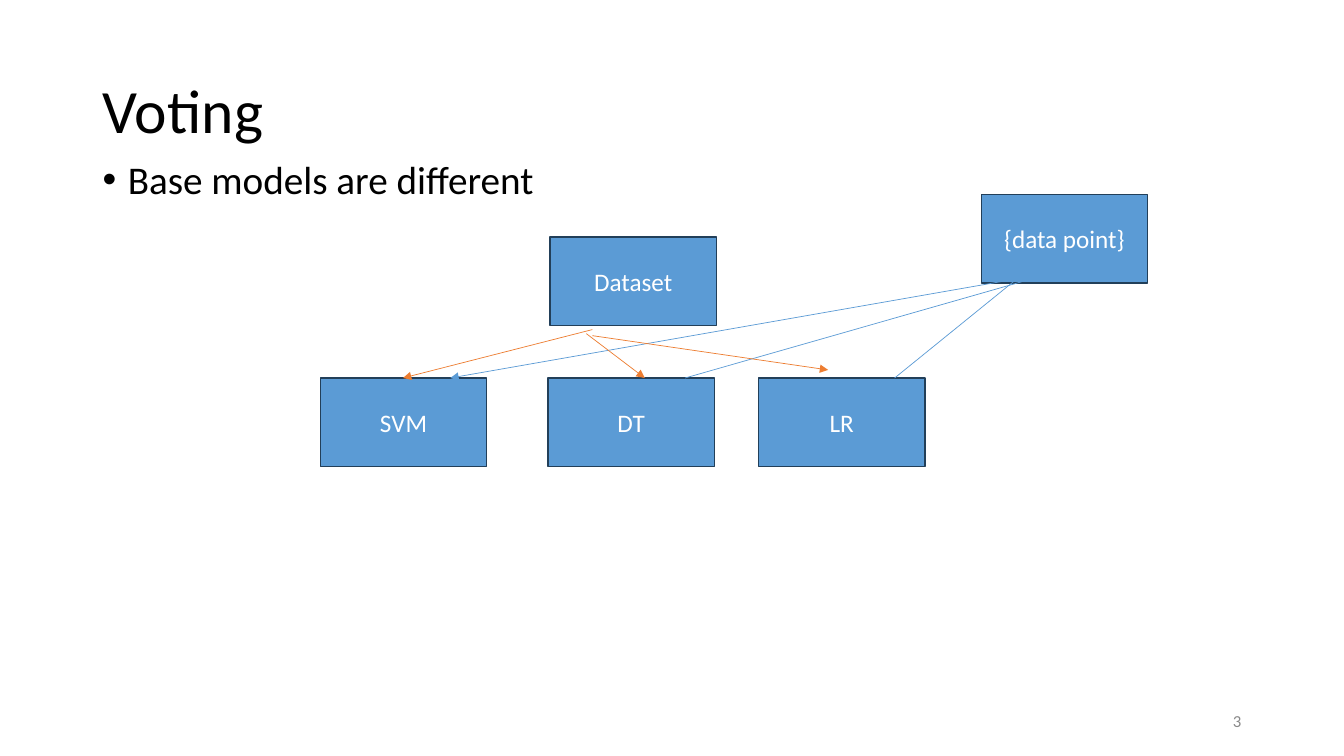
from lxml import etree
from pptx import Presentation
from pptx.dml.color import RGBColor
from pptx.enum import shapes, text
from pptx.oxml import ns
from pptx.util import Inches, Pt

BLACK = RGBColor(0x00, 0x00, 0x00)
WHITE = RGBColor(0xFF, 0xFF, 0xFF)
GRAY = RGBColor(0x89, 0x89, 0x89)
BLUE = RGBColor(0x5B, 0x9B, 0xD5)
NAVY = RGBColor(0x22, 0x3F, 0x59)
ORANGE = RGBColor(0xED, 0x7D, 0x31)

BOX_WIDTH, BOX_HEIGHT = 1.65, 0.88
MODEL_TOP = 3.75

# Label, left, top
BOXES = [
    ("SVM", 3.18, MODEL_TOP),
    ("Dataset", 5.46, 2.35),
    ("LR", 7.53, MODEL_TOP),
    ("DT", 5.44, MODEL_TOP),
    ("{data point}", 9.74, 1.93),
]

# Start, end, colour, arrowhead at the end
LINKS = [
    ((9.96, 2.79), (4.47, MODEL_TOP), BLUE, True),
    ((10.16, 2.79), (6.8, MODEL_TOP), BLUE, False),
    ((10.25, 2.64), (8.88, MODEL_TOP), BLUE, False),
    ((5.88, 3.27), (4, MODEL_TOP), ORANGE, True),
    ((5.82, 3.31), (6.4, MODEL_TOP), ORANGE, True),
    ((5.88, 3.33), (8.22, 3.67), ORANGE, True),
]


def write(shape, content, size, color, align, anchor):
    frame = shape.text_frame
    frame.text = content
    frame.word_wrap = True
    frame.vertical_anchor = anchor
    paragraph = frame.paragraphs[0]
    paragraph.alignment = align
    font = paragraph.runs[0].font
    font.name, font.size = "Calibri", Pt(size)
    font.color.rgb = color
    return paragraph


def add_text(slide, content, left, top, width, height, size, color=BLACK,
             align=text.PP_ALIGN.LEFT, anchor=text.MSO_ANCHOR.MIDDLE):
    shape = slide.shapes.add_textbox(
        Inches(left), Inches(top), Inches(width), Inches(height))
    return write(shape, content, size, color, align, anchor)


def add_bullet(paragraph):
    properties = paragraph._p.get_or_add_pPr()
    properties.set("marL", str(Inches(0.25)))
    properties.set("indent", str(Inches(-0.25)))
    font = etree.SubElement(properties, ns.qn("a:buFont"))
    font.set("typeface", "Arial")
    bullet = etree.SubElement(properties, ns.qn("a:buChar"))
    bullet.set("char", "•")


def add_box(slide, label, left, top):
    box = slide.shapes.add_shape(
        shapes.MSO_SHAPE.RECTANGLE, Inches(left), Inches(top),
        Inches(BOX_WIDTH), Inches(BOX_HEIGHT))
    box.shadow.inherit = False
    box.fill.solid()
    box.fill.fore_color.rgb = BLUE
    box.line.color.rgb = NAVY
    box.line.width = Pt(1)
    write(box, label, 18, WHITE, text.PP_ALIGN.CENTER, text.MSO_ANCHOR.MIDDLE)


def add_link(slide, start, end, color, arrow):
    link = slide.shapes.add_connector(
        shapes.MSO_CONNECTOR.STRAIGHT,
        *(Inches(value) for value in start + end))
    link.line.color.rgb = color
    link.line.width = Pt(0.5)
    if arrow:
        head = etree.SubElement(link.line._get_or_add_ln(), ns.qn("a:tailEnd"))
        head.set("type", "triangle")
    etree.SubElement(link._element.spPr, ns.qn("a:effectLst"))


def main():
    presentation = Presentation()
    presentation.slide_width = Inches(13.34)
    presentation.slide_height = Inches(7.5)
    slide = presentation.slides.add_slide(presentation.slide_layouts[6])

    # Title, bullet and slide number
    title = add_text(slide, "Voting", 0.92, 0.4, 11.5, 1.45, 44)
    title.line_spacing = 0.9
    point = add_text(slide, "Base models are different", 0.92, 1.54, 11.5, 4.76,
                     28, anchor=text.MSO_ANCHOR.TOP)
    point.line_spacing = 0.9
    add_bullet(point)
    add_text(slide, "3", 9.42, 6.95, 3, 0.4, 12, GRAY, text.PP_ALIGN.RIGHT)

    # Diagram
    for box in BOXES:
        add_box(slide, *box)
    for link in LINKS:
        add_link(slide, *link)

    presentation.save("out.pptx")


if __name__ == "__main__":
    main()
